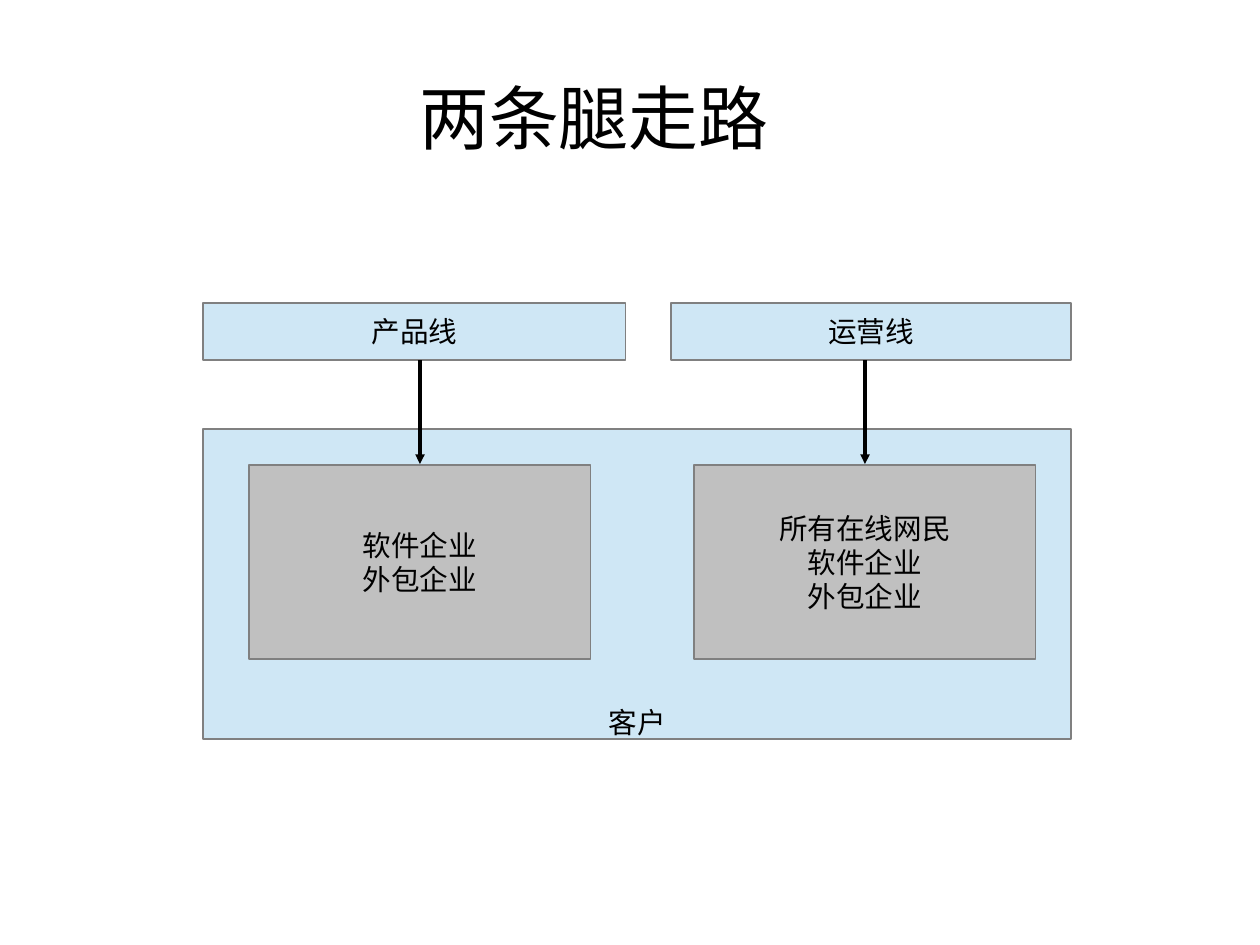
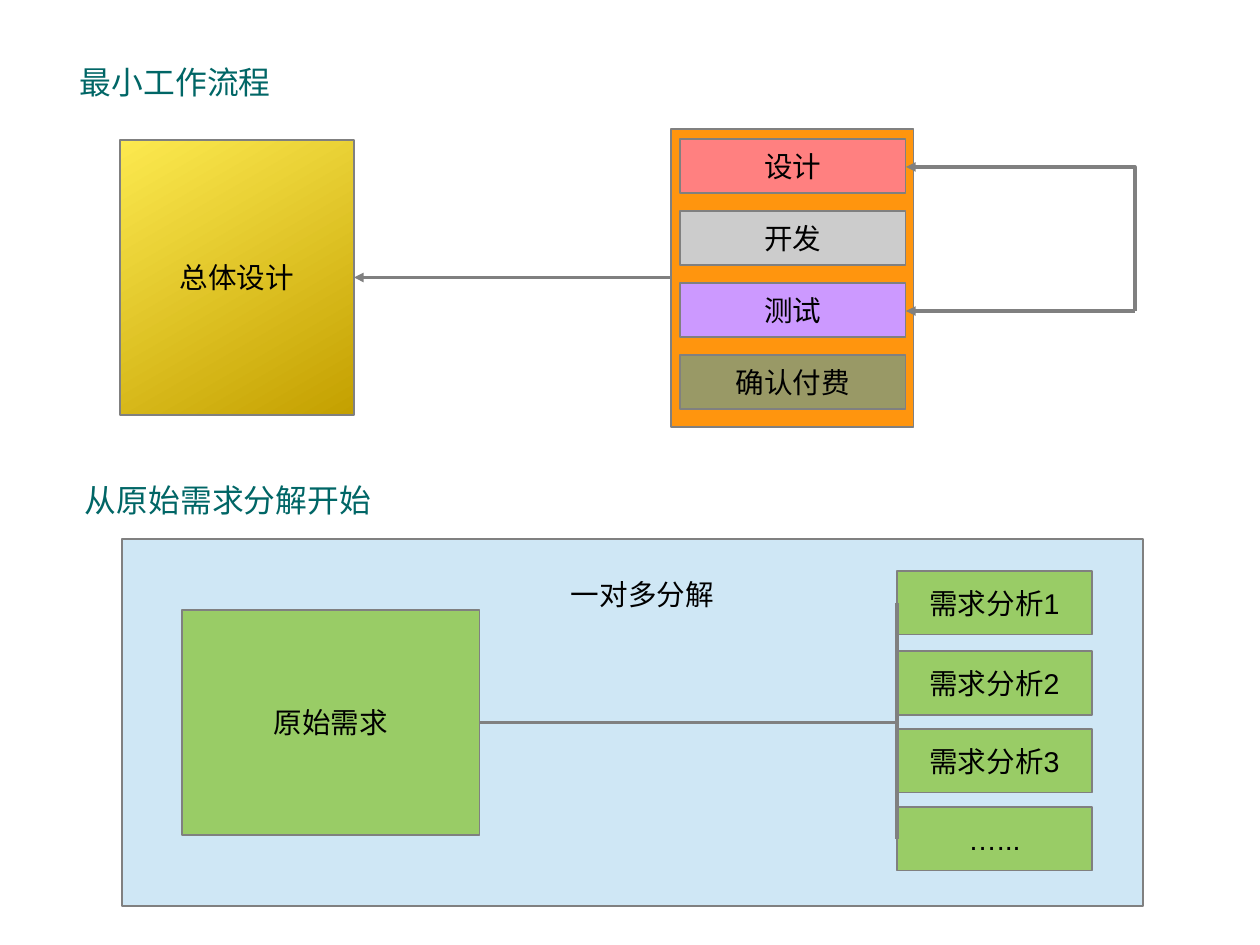
from lxml.etree import SubElement
from pptx import Presentation
from pptx.dml.color import RGBColor
from pptx.enum.shapes import MSO_CONNECTOR as CONN, MSO_SHAPE as SHAPE
from pptx.enum.text import MSO_ANCHOR as ANCHOR, MSO_AUTO_SIZE as AUTO, PP_ALIGN as ALIGN
from pptx.oxml.ns import qn
from pptx.util import Pt

PX = 8000  # EMU per pixel
WIDTH, HEIGHT = 1260, 945
FONT = "Arial"
COLORS = {
    "text": "000000", "heading": "006666", "edge": "808080",
    "sky": "CFE7F5", "silver": "C0C0C0", "orange": "FF950E",
    "red": "FF8080", "grey": "CCCCCC", "violet": "CC99FF", "olive": "999966",
    "green": "99CC66", "gold_light": "FCE94F", "gold_dark": "C4A000",
}
CENTERED = {"align": ALIGN.CENTER, "anchor": ANCHOR.MIDDLE}
HEADING = {"size": 20, "color": "heading"}

# Slide 1: boxes are (left, top, width, height)
LEGS_TITLE = "两条腿走路"
LEGS_TITLE_BOX = (27, 38, 1134, 158)
CUSTOMERS = "客户"
CUSTOMERS_BOX = (203, 429, 868, 310)
LINE_TOP, LINE_HEIGHT = 303, 57
GROUP_TOP, GROUP_WIDTH, GROUP_HEIGHT = 465, 342, 194
LEGS = [  # line name, its left and width, customer groups, their left
    ("产品线", 203, 423, ["软件企业", "外包企业"], 249),
    ("运营线", 671, 400, ["所有在线网民", "软件企业", "外包企业"], 694),
]

# Slide 2
FLOW_TITLE, FLOW_TITLE_BOX = "最小工作流程", (69, 57, 234, 57)
SPLIT_TITLE, SPLIT_TITLE_BOX = "从原始需求分解开始", (74, 475, 340, 57)
OVERALL, OVERALL_BOX = "总体设计", (120, 140, 234, 275)
STEPS_BOX = (671, 129, 243, 298)
STEPS = [("设计", "red"), ("开发", "grey"), ("测试", "violet"), ("确认付费", "olive")]
STEP_LEFT, STEP_TOP, STEP_WIDTH, STEP_HEIGHT, STEP_PITCH = 680, 139, 226, 54, 72
REWORK_STEPS = (0, 2)
REWORK_RIGHT = 1135
SPLIT_BOX = (122, 539, 1021, 367)
SOURCE, SOURCE_BOX = "原始需求", (182, 610, 298, 225)
SPLIT_LABEL, SPLIT_LABEL_BOX = "一对多分解", (560, 571, 190, 53)
ANALYSES = [("需求分析1", 571), ("需求分析2", 651), ("需求分析3", 729), ("…...", 807)]
ANALYSIS_LEFT, ANALYSIS_WIDTH, ANALYSIS_HEIGHT = 897, 195, 64


def emu(*lengths):
    """Turn pixel lengths into whole EMU."""
    return [round(n * PX) for n in lengths]


def rgb(name):
    """Look up a colour by its name."""
    return RGBColor.from_string(COLORS[name])


def write(sp, lines, size=18, color="text", align=ALIGN.LEFT, anchor=ANCHOR.TOP,
          insets=(11, 6, 11, 6)):
    """Write one paragraph per line into a shape."""
    tf = sp.text_frame
    left, top, right, bottom = emu(*insets)
    frame = {"word_wrap": True, "auto_size": AUTO.NONE, "vertical_anchor": anchor,
             "margin_left": left, "margin_top": top,
             "margin_right": right, "margin_bottom": bottom}
    for name, value in frame.items():
        setattr(tf, name, value)
    tf.text = "\n".join(lines)
    for p in tf.paragraphs:
        p.alignment = align
        for r in p.runs:
            for name, value in {"name": FONT, "size": Pt(size), "bold": False}.items():
                setattr(r.font, name, value)
            r.font.color.rgb = rgb(color)


def add_slide(prs, title, box, **style):
    """Add a slide and place its title."""
    slide = prs.slides.add_slide(prs.slide_layouts[5])
    sp = slide.shapes.title
    for name, value in zip(("left", "top", "width", "height"), emu(*box)):
        setattr(sp, name, value)
    write(sp, [title], **style)
    return slide


def add_label(slide, text, box, **style):
    """Add free-standing text."""
    write(slide.shapes.add_textbox(*emu(*box)), [text], **style)


def add_box(slide, box, fill, lines=(), **style):
    """Add a hairline rectangle; two fill names make a gradient."""
    sp = slide.shapes.add_shape(SHAPE.RECTANGLE, *emu(*box))
    sp.shadow.inherit = False
    if isinstance(fill, tuple):
        sp.fill.gradient()
        sp.fill.gradient_angle = 300
        for stop, name in zip(sp.fill.gradient_stops, fill):
            stop.color.rgb = rgb(name)
    else:
        sp.fill.solid()
        sp.fill.fore_color.rgb = rgb(fill)
    sp.line.color.rgb = rgb("edge")
    sp.line.width = Pt(0)
    if lines:
        write(sp, lines, **(style or CENTERED))


def add_link(slide, start, end, arrow=None, color="edge"):
    """Join two points, across first and then up or down; arrow is headEnd or tailEnd."""
    bent = start[0] != end[0] and start[1] != end[1]
    cxn = slide.shapes.add_connector(CONN.ELBOW if bent else CONN.STRAIGHT,
                                     *emu(*start, *end))
    cxn.line.color.rgb = rgb(color)
    cxn.line.width = Pt(0)
    props = cxn.element.spPr
    if bent:
        props.find(qn("a:prstGeom")).set("prst", "bentConnector2")
    if arrow:
        SubElement(props.find(qn("a:ln")), qn(f"a:{arrow}"), type="triangle")
    SubElement(props, qn("a:effectLst"))


def build_legs(prs):
    """Two business lines, each leading to its customers."""
    slide = add_slide(prs, LEGS_TITLE, LEGS_TITLE_BOX, size=44,
                      insets=(0, 0, 0, 0), **CENTERED)
    add_box(slide, CUSTOMERS_BOX, "sky", [CUSTOMERS], align=ALIGN.CENTER,
            anchor=ANCHOR.BOTTOM, insets=(11, 6, 11, 0))
    for name, left, width, groups, group_left in LEGS:
        add_box(slide, (left, LINE_TOP, width, LINE_HEIGHT), "sky", [name])
        add_box(slide, (group_left, GROUP_TOP, GROUP_WIDTH, GROUP_HEIGHT), "silver", groups)
        x = group_left + GROUP_WIDTH / 2
        add_link(slide, (x, LINE_TOP + LINE_HEIGHT), (x, GROUP_TOP - 1), "tailEnd", "text")


def build_flow(prs):
    """The smallest workflow above, the splitting of requirements below."""
    slide = add_slide(prs, FLOW_TITLE, FLOW_TITLE_BOX, **HEADING)
    add_box(slide, STEPS_BOX, "orange")
    centers = []
    for i, (name, fill) in enumerate(STEPS):
        top = STEP_TOP + i * STEP_PITCH
        add_box(slide, (STEP_LEFT, top, STEP_WIDTH, STEP_HEIGHT), fill, [name])
        centers.append(top + STEP_HEIGHT / 2 + 1)
    for i in REWORK_STEPS:
        add_link(slide, (STEP_LEFT + STEP_WIDTH, centers[i]),
                 (REWORK_RIGHT, centers[REWORK_STEPS[-1]]), "headEnd")
    left, top, width, height = OVERALL_BOX
    add_box(slide, OVERALL_BOX, ("gold_light", "gold_dark"), [OVERALL])
    y = top + height / 2
    add_link(slide, (left + width, y), (STEPS_BOX[0], y), "headEnd")

    add_label(slide, SPLIT_TITLE, SPLIT_TITLE_BOX, **HEADING)
    add_box(slide, SPLIT_BOX, "sky")
    add_box(slide, SOURCE_BOX, "green", [SOURCE])
    left, top, width, height = SOURCE_BOX
    for name, y in ANALYSES:
        add_box(slide, (ANALYSIS_LEFT, y, ANALYSIS_WIDTH, ANALYSIS_HEIGHT), "green", [name])
    for _, y in ANALYSES:
        add_link(slide, (left + width, top + height / 2),
                 (ANALYSIS_LEFT, y + ANALYSIS_HEIGHT / 2))
    add_label(slide, SPLIT_LABEL, SPLIT_LABEL_BOX)


prs = Presentation()
prs.slide_width, prs.slide_height = emu(WIDTH, HEIGHT)
build_legs(prs)
build_flow(prs)
prs.save("out.pptx")
